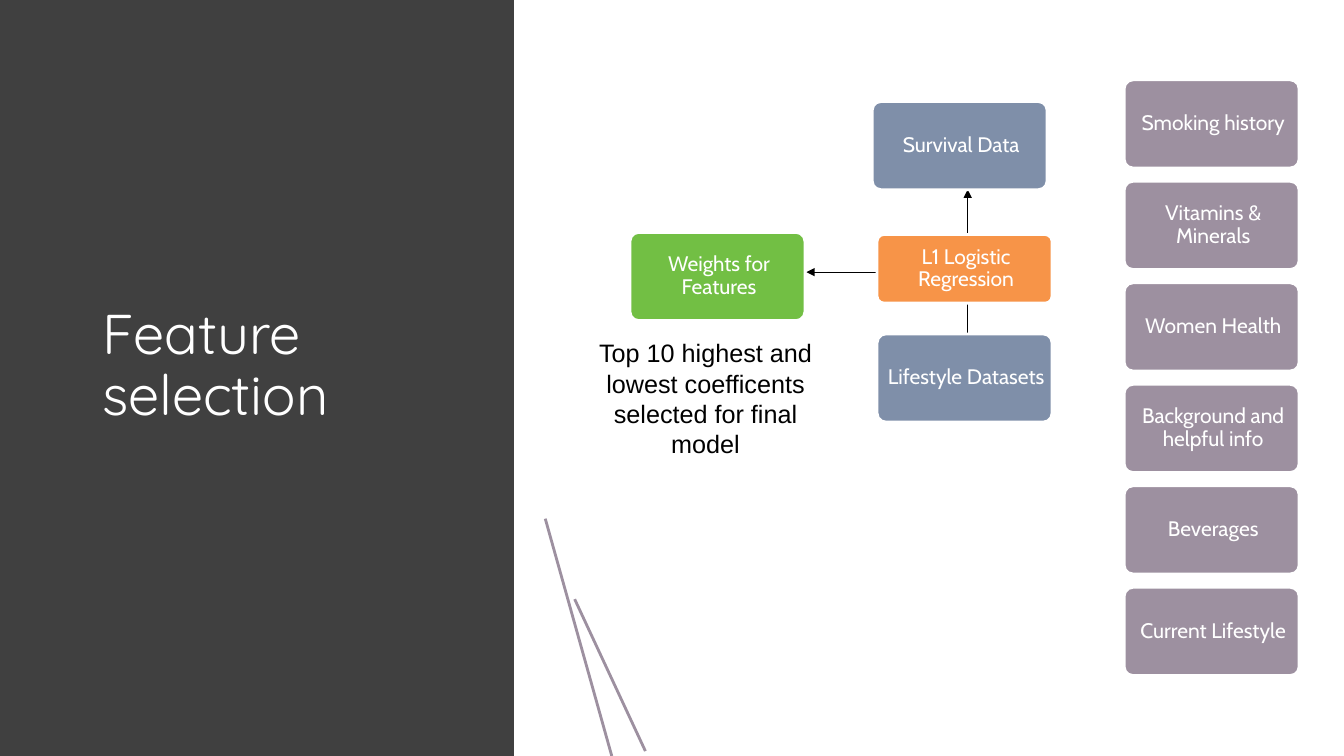
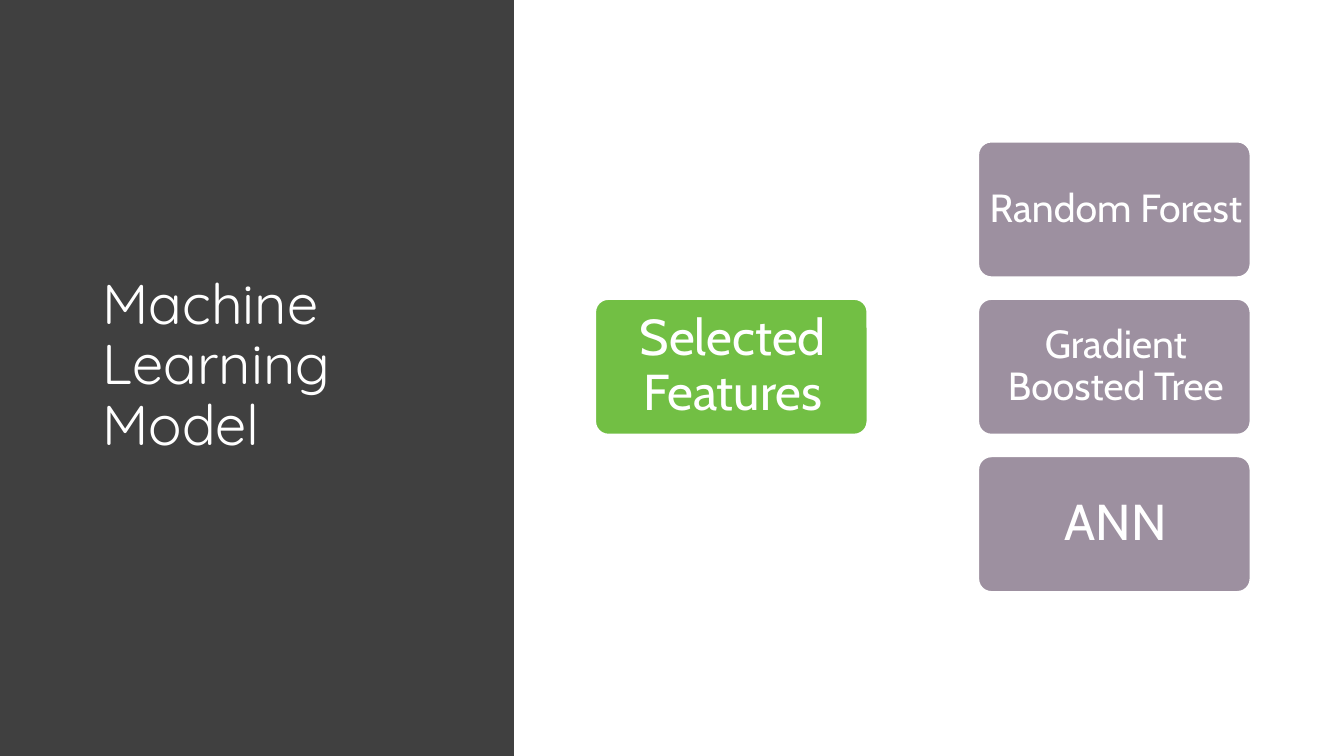
"""Build two slides on feature selection and the machine learning models."""
import lxml.etree
import pptx
import pptx.dml.color
import pptx.enum.shapes
import pptx.enum.text
import pptx.oxml.ns
import pptx.util

Pt = pptx.util.Pt
rgb = pptx.dml.color.RGBColor.from_string
qn = pptx.oxml.ns.qn
SHAPE = pptx.enum.shapes.MSO_SHAPE
ALIGN = pptx.enum.text.PP_ALIGN
ANCHOR = pptx.enum.text.MSO_ANCHOR

WHITE, BLACK, CHARCOAL = "FFFFFF", "000000", "404040"
SLATE, MAUVE, GREEN, ORANGE = "7F8FA9", "9D90A0", "72BF44", "F79448"


def add_box(slide, label, left, top, width, height, fill, size, inset, right_inset, space_after):
    box = slide.shapes.add_shape(SHAPE.ROUNDED_RECTANGLE, Pt(left), Pt(top), Pt(width), Pt(height))
    box.adjustments[0] = 0.1
    box.shadow.inherit = False
    box.fill.solid()
    box.fill.fore_color.rgb = rgb(fill)
    box.line.color.rgb = rgb(WHITE)
    box.line.width = Pt(2)
    frame = box.text_frame
    frame.word_wrap = True
    frame.vertical_anchor = ANCHOR.MIDDLE
    frame.margin_left = frame.margin_top = frame.margin_bottom = Pt(inset)
    frame.margin_right = Pt(right_inset)
    frame.text = label
    paragraph = frame.paragraphs[0]
    paragraph.alignment = ALIGN.CENTER
    paragraph.line_spacing = 0.9
    paragraph.space_after = Pt(space_after)
    font = paragraph.runs[0].font
    font.name = "Cabin"
    font.size = Pt(size)
    font.color.rgb = rgb(WHITE)


def add_line(slide, start, end, color, width, arrow=False):
    line = slide.shapes.add_connector(
        pptx.enum.shapes.MSO_CONNECTOR.STRAIGHT, *[Pt(value) for value in start + end])
    line.line.color.rgb = rgb(color)
    line.line.width = Pt(width)
    properties = line.element.spPr
    if arrow:
        lxml.etree.SubElement(properties.find(qn("a:ln")), qn("a:tailEnd"), type="triangle")
    lxml.etree.SubElement(properties, qn("a:effectLst"))


deck = pptx.Presentation()
deck.slide_width, deck.slide_height = Pt(960), Pt(540)
layout = deck.slide_layouts[5]
heading = layout.placeholders[0]
heading.left, heading.top, heading.width, heading.height = Pt(66), Pt(49), Pt(263.5), Pt(426)

slides = []
for topic in ("Feature selection", "Machine Learning Model"):
    slide = deck.slides.add_slide(layout)
    slides.append(slide)
    title = slide.shapes.title
    title.text_frame.text = topic
    title.text_frame.word_wrap = True
    title.text_frame.auto_size = pptx.enum.text.MSO_AUTO_SIZE.NONE
    title.text_frame.vertical_anchor = ANCHOR.MIDDLE
    paragraph = title.text_frame.paragraphs[0]
    paragraph.alignment = ALIGN.LEFT
    paragraph.line_spacing = 0.9
    font = paragraph.runs[0].font
    font.name = "Quicksand"
    font.size = Pt(40)
    font.color.rgb = rgb(WHITE)
    band = slide.shapes.add_shape(SHAPE.RECTANGLE, 0, 0, Pt(367.2), deck.slide_height)
    band.shadow.inherit = False
    band.fill.solid()
    band.fill.fore_color.rgb = rgb(CHARCOAL)
    band.line.fill.background()
    title.element.addprevious(band.element)

selection, models = slides

add_line(selection, (691.2, 238.3), (691.2, 135.4), BLACK, 0.75, arrow=True)
add_line(selection, (626.4, 194.4), (576, 194.4), BLACK, 0.75, arrow=True)
add_line(selection, (389.5, 370.5), (437, 540), MAUVE, 2)
add_line(selection, (410.5, 428), (461, 536.5), MAUVE, 2)

steps = [
    ("Survival Data", 623, 72.5, 61.5, SLATE),
    ("Lifestyle Datasets", 626.5, 238.5, 61.5, SLATE),
    ("L1 Logistic Regression", 626.5, 167.5, 47.5, ORANGE),
    ("Weights for Features", 450, 166, 61.5, GREEN),
]
datasets = ["Smoking history", "Vitamins & Minerals", "Women Health",
            "Background and helpful info", "Beverages", "Current Lifestyle"]
steps += [(name, 803, 57 + 72.5 * row, 61.5, MAUVE) for row, name in enumerate(datasets)]
for name, left, top, height, fill in steps:
    add_box(selection, name, left, top, 125, height + 1.5, fill, 15, 2.9, 0.7, 5.2)

remark = selection.shapes.add_textbox(Pt(410.4), Pt(237.6), Pt(187.2), Pt(88))
remark.text_frame.word_wrap = True
remark.text_frame.text = "Top 10 highest and lowest coefficents selected for final model"
paragraph = remark.text_frame.paragraphs[0]
paragraph.alignment = ALIGN.CENTER
font = paragraph.runs[0].font
font.name = "Arial"
font.size = Pt(18)
font.color.rgb = rgb(BLACK)

add_box(models, "Selected Features", 424.8, 213.2, 195.2, 97.6, GREEN, 36, 4.4, 2.2, 12.6)
for row, (name, size) in enumerate([("Random Forest", 28), ("Gradient Boosted Tree", 28), ("ANN", 36)]):
    add_box(models, name, 698.4, 100.8 + 112.4 * row, 195.2, 97.6, MAUVE, size, 4.4, 2.2, 12.6)

deck.save("out.pptx")
